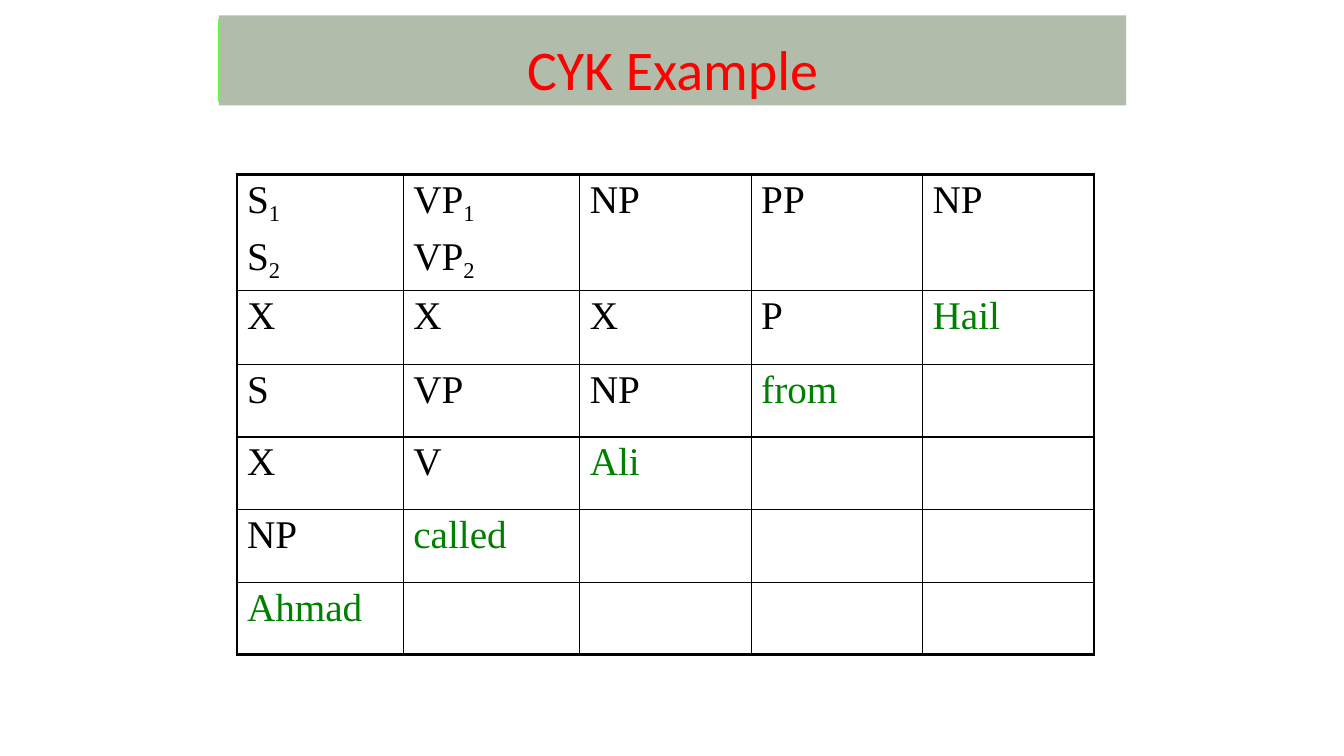
"""Build the CYK parsing example slide."""
import dataclasses

import lxml.etree
import pptx
import pptx.dml.color
import pptx.enum.shapes
import pptx.enum.text
import pptx.oxml.ns
import pptx.util
from pptx.util import Inches


@dataclasses.dataclass(frozen=True)
class Theme:
    title_font: str = "Calibri"
    table_font: str = "Times New Roman"
    title_size: float = 40
    symbol_size: float = 28
    subscript_size: float = 27.8
    outer_border: float = 2.25
    inner_border: float = 1
    edge_width: float = 0.75
    banner: str = "B1BDAA"
    edge: str = "66FF33"
    title: str = "FF0000"
    symbol: str = "000000"
    word: str = "008000"
    border: str = "000000"


THEME = Theme()
COLUMN_WIDTHS = [1.65, 1.75, 1.7, 1.7, 1.7]
ROW_HEIGHTS = [1.13, 0.73, 0.72, 0.72, 0.72, 0.72]
CHART_ROWS = [
    [[("S", "1"), ("S", "2")], [("VP", "1"), ("VP", "2")], "NP", "PP", "NP"],
    ["X", "X", "X", "P", "Hail"],
    ["S", "VP", "NP", "from"],
    ["X", "V", "Ali"],
    ["NP", "called"],
    ["Ahmad"],
]


def rgb(value):
    return pptx.dml.color.RGBColor.from_string(value)


def add_run(paragraph, text, font, size, color):
    run = paragraph.add_run()
    run.text = text
    run.font.name = font
    run.font.size = pptx.util.Pt(size)
    run.font.color.rgb = rgb(color)
    return run


def set_insets(box, left, top):
    box.margin_left, box.margin_top = Inches(left), Inches(top)
    box.margin_right = box.margin_bottom = 0


def add_title(slide, text):
    left, top, width, height = (Inches(n) for n in (2.17, 0.22, 9, 0.76))
    title = slide.shapes.title
    title.left, title.top, title.width, title.height = left, top, width, height
    title.fill.solid()
    title.fill.fore_color.rgb = rgb(THEME.banner)
    frame = title.text_frame
    frame.word_wrap = True
    frame.auto_size = pptx.enum.text.MSO_AUTO_SIZE.SHAPE_TO_FIT_TEXT
    frame.vertical_anchor = pptx.enum.text.MSO_ANCHOR.MIDDLE
    set_insets(frame, 0, 0.16)
    paragraph = frame.paragraphs[0]
    paragraph.alignment = pptx.enum.text.PP_ALIGN.CENTER
    add_run(paragraph, text, THEME.title_font, THEME.title_size, THEME.title)


def add_banner_edge(slide):
    edge = slide.shapes.add_connector(
        pptx.enum.shapes.MSO_CONNECTOR.STRAIGHT,
        Inches(2.17), Inches(0.19), Inches(2.17), Inches(1.01))
    edge.line.color.rgb = rgb(THEME.edge)
    edge.line.width = pptx.util.Pt(THEME.edge_width)
    lxml.etree.SubElement(edge._element.spPr, pptx.oxml.ns.qn("a:effectLst"))


def set_borders(cell, outer_sides):
    qn = pptx.oxml.ns.qn
    properties = cell._tc.get_or_add_tcPr()
    for side in "LRTB":
        width = THEME.outer_border if side in outer_sides else THEME.inner_border
        line = lxml.etree.SubElement(
            properties, qn(f"a:ln{side}"), w=str(pptx.util.Pt(width)))
        fill = lxml.etree.SubElement(line, qn("a:solidFill"))
        lxml.etree.SubElement(fill, qn("a:srgbClr"), val=THEME.border)


def fill_cell(cell, entry, color):
    symbols = [(entry, "")] if isinstance(entry, str) else entry
    frame = cell.text_frame
    for index, (symbol, subscript) in enumerate(symbols):
        paragraph = frame.add_paragraph() if index else frame.paragraphs[0]
        if index:
            paragraph.space_before = pptx.util.Pt(6.8)
        add_run(paragraph, symbol, THEME.table_font, THEME.symbol_size, color)
        if subscript:
            run = add_run(paragraph, subscript, THEME.table_font,
                          THEME.subscript_size, color)
            run._r.get_or_add_rPr().set("baseline", "-20000")


def add_parse_table(slide):
    rows, columns = len(ROW_HEIGHTS), len(COLUMN_WIDTHS)
    table = slide.shapes.add_table(
        rows, columns, Inches(2.35), Inches(1.73),
        Inches(sum(COLUMN_WIDTHS)), Inches(sum(ROW_HEIGHTS))).table
    table.first_row = table.horz_banding = False
    for column, width in zip(table.columns, COLUMN_WIDTHS):
        column.width = Inches(width)
    for row, height in zip(table.rows, ROW_HEIGHTS):
        row.height = Inches(height)
    for row in range(rows):
        entries = CHART_ROWS[row]
        for column in range(columns):
            cell = table.cell(row, column)
            set_insets(cell, 0.1, 0.04)
            outer = {"L": column == 0, "R": column == columns - 1,
                     "T": row == 0, "B": row == rows - 1}
            set_borders(cell, [side for side in outer if outer[side]])
            cell.fill.background()
            if column < len(entries):
                on_diagonal = row + column == columns
                color = THEME.word if on_diagonal else THEME.symbol
                fill_cell(cell, entries[column], color)


def main():
    presentation = pptx.Presentation()
    presentation.slide_width = Inches(13.33)
    presentation.slide_height = Inches(7.5)
    slide = presentation.slides.add_slide(presentation.slide_layouts[5])
    add_parse_table(slide)
    add_title(slide, "CYK Example")
    add_banner_edge(slide)
    presentation.save("out.pptx")


if __name__ == "__main__":
    main()
